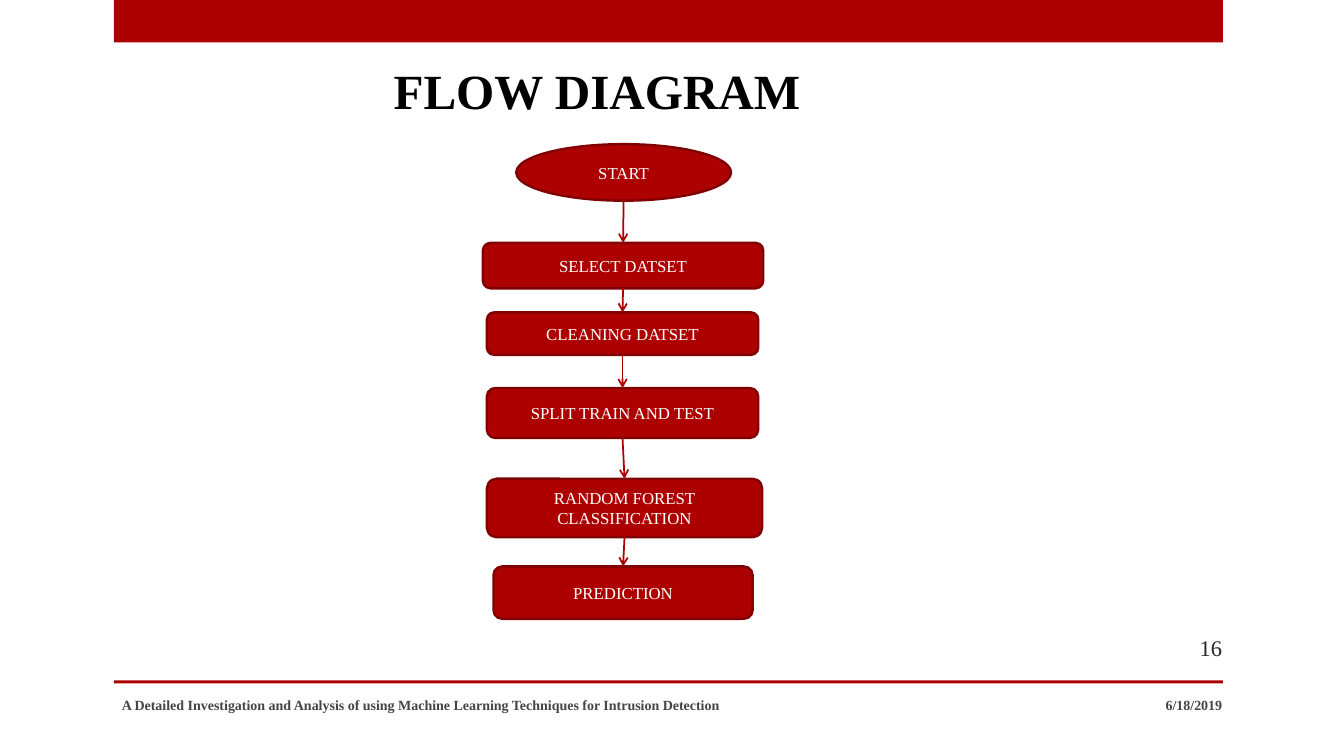
import pptx
import pptx.util
import pptx.dml.color
import pptx.oxml
import pptx.oxml.ns
from pptx.enum.shapes import MSO_CONNECTOR, MSO_SHAPE
from pptx.enum.text import MSO_ANCHOR, PP_ALIGN

RED, DARK_RED, GREY = "AD0101", "800101", "454545"

prs = pptx.Presentation()
prs.slide_width = pptx.util.Inches(13.33)
prs.slide_height = pptx.util.Inches(7.5)
s = prs.slides.add_slide(prs.slide_layouts[6])


def color(fmt, value):
    """Set a fill, line or font colour from a hex string."""
    if hasattr(fmt, "solid"):
        fmt.solid()
        fmt = fmt.fore_color
    else:
        fmt = fmt.color
    fmt.rgb = pptx.dml.color.RGBColor.from_string(value)


def write(sp, text, size=12, fill="FFFFFF", bold=False,
          align=PP_ALIGN.CENTER, anchor=MSO_ANCHOR.MIDDLE):
    tf = sp.text_frame
    tf.word_wrap = True
    tf.vertical_anchor = anchor
    p = tf.paragraphs[0]
    p.alignment = align
    r = p.add_run()
    r.text = text
    r.font.name = "Times New Roman"
    r.font.size = pptx.util.Pt(size)
    r.font.bold = bold
    color(r.font, fill)


# All positions are percentages of the slide's width and height
col, row = prs.slide_width / 100, prs.slide_height / 100

# Top band and footer rule
for top, height in [(0, 5.6), (90, 0.4)]:
    sp = s.shapes.add_shape(MSO_SHAPE.RECTANGLE, int(8.48 * col), int(top * row),
                            int(82.52 * col), int(height * row))
    sp.shadow.inherit = False
    color(sp.fill, RED)
    sp.line.fill.background()

# Title, footer, date and slide number
footer = dict(size=10, fill=GREY, bold=True)
texts = [
    ("FLOW DIAGRAM", 3.15, 7.2, 82.52, 9.2,
     dict(size=35.1, fill="000000", bold=True, anchor=MSO_ANCHOR.BOTTOM)),
    ("A Detailed Investigation and Analysis of using Machine Learning Techniques "
     "for Intrusion Detection", 8.33, 90.53, 53.34, 5.33,
     dict(footer, align=PP_ALIGN.LEFT)),
    ("6/18/2019", 68.34, 90.53, 23.33, 5.33, dict(footer, align=PP_ALIGN.RIGHT)),
    ("16", 83.34, 82.93, 8.33, 5.33,
     dict(size=16, fill="262626", align=PP_ALIGN.RIGHT)),
]
for text, left, top, width, height, style in texts:
    sp = s.shapes.add_textbox(int(left * col), int(top * row),
                              int(width * col), int(height * row))
    write(sp, text, **style)

# Flow steps: text, centre, top, width, height
steps = [
    ("START", 46.4, 19.07, 15.98, 7.47),
    ("SELECT DATSET", 46.36, 32.13, 20.86, 6),
    ("CLEANING DATSET", 46.32, 41.33, 20.18, 5.6),
    ("SPLIT TRAIN AND TEST", 46.32, 51.33, 20.18, 6.6),
    ("RANDOM FOREST CLASSIFICATION", 46.47, 63.33, 20.48, 7.73),
    ("PREDICTION", 46.36, 74.93, 19.28, 6.93),
]
for text, centre, top, width, height in steps:
    kind = MSO_SHAPE.OVAL if text == "START" else MSO_SHAPE.ROUNDED_RECTANGLE
    sp = s.shapes.add_shape(kind, int((centre - width / 2) * col), int(top * row),
                            int(width * col), int(height * row))
    sp.shadow.inherit = False
    color(sp.fill, RED)
    color(sp.line, DARK_RED)
    sp.line.width = pptx.util.Pt(1.75)
    write(sp, text)

# Arrows from the bottom of each step to the top of the next
for (_, x1, top, _, height), (_, x2, y2, _, _) in zip(steps, steps[1:]):
    arrow = s.shapes.add_connector(MSO_CONNECTOR.STRAIGHT, int(x1 * col),
                                   int((top + height) * row), int(x2 * col), int(y2 * row))
    color(arrow.line, RED)
    arrow.line.width = pptx.util.Pt(1.25)
    ln = arrow.line._get_or_add_ln()
    ln.append(pptx.oxml.parse_xml(
        f'<a:tailEnd {pptx.oxml.ns.nsdecls("a")} type="arrow"/>'))
    ln.addnext(pptx.oxml.parse_xml(f'<a:effectLst {pptx.oxml.ns.nsdecls("a")}/>'))

prs.save("out.pptx")
